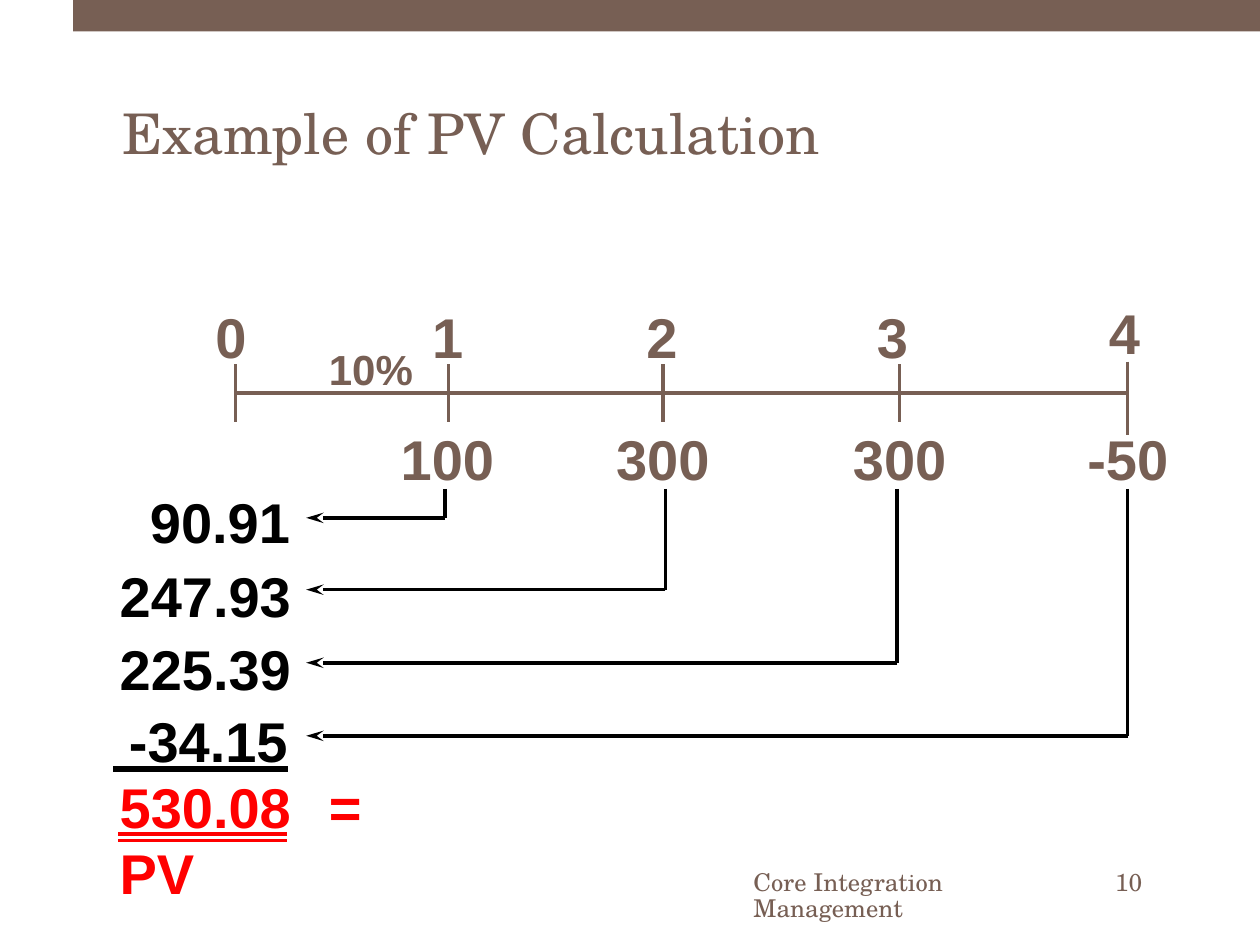
from lxml import etree
from pptx import Presentation
from pptx.dml.color import RGBColor
from pptx.enum.shapes import MSO_CONNECTOR, MSO_SHAPE
from pptx.enum.text import MSO_ANCHOR, MSO_AUTO_SIZE, MSO_UNDERLINE, PP_ALIGN
from pptx.oxml.ns import qn
from pptx.util import Inches, Pt

BROWN = RGBColor(0x77, 0x5F, 0x54)
BLACK = RGBColor(0, 0, 0)
RED = RGBColor(0xFF, 0, 0)
SERIF, SANS = "TeX Gyre Schola", "Arial"
LEFT, TOP = PP_ALIGN.LEFT, MSO_ANCHOR.TOP
FIXED, HEAVY = MSO_AUTO_SIZE.NONE, MSO_UNDERLINE.HEAVY_LINE
RECT, STRAIGHT = MSO_SHAPE.RECTANGLE, MSO_CONNECTOR.STRAIGHT

deck = Presentation()
deck.slide_width, deck.slide_height = Inches(10), Inches(7.5)
slide = deck.slides.add_slide(deck.slide_layouts[5])
shapes = slide.shapes


def write(text, box, size=32, font=SANS, color=BROWN, bold=True,
          inset=(0.01, 0), lead=None, shape=None):
    """Fill a text shape with one paragraph per line and return the paragraphs."""
    spot = [Inches(n) for n in box]
    shape = shape or shapes.add_textbox(*spot)
    shape.left, shape.top, shape.width, shape.height = spot
    frame = shape.text_frame
    frame.text = text
    frame.word_wrap, frame.auto_size = True, FIXED
    frame.vertical_anchor = TOP
    frame.margin_left, frame.margin_top = [Inches(n) for n in inset]
    frame.margin_right = frame.margin_bottom = 0
    for para in frame.paragraphs:
        para.alignment = LEFT
        para.line_spacing = lead
        for run in para.runs:
            run.font.size, run.font.name = Pt(size), font
            run.font.bold, run.font.color.rgb = bold, color
    return frame.paragraphs


def rule(x1, y1, x2, y2, color=BROWN, arrow=False):
    """Draw a straight line, with an arrowhead at its end if asked."""
    line = shapes.add_connector(STRAIGHT, *[Inches(n) for n in (x1, y1, x2, y2)])
    line.line.color.rgb, line.line.width = color, Pt(2)
    if arrow:
        etree.SubElement(line.line._get_or_add_ln(), qn("a:tailEnd"),
                         type="stealth", w="med", len="lg")
    etree.SubElement(line._element.spPr, qn("a:effectLst"))


# Top band and title
band = shapes.add_shape(RECT, Inches(0.58), 0, Inches(9.42), Inches(0.25))
band.shadow.inherit = False
band.fill.solid()
band.fill.fore_color.rgb = BROWN
band.line.fill.background()
write("Example of PV Calculation", (0.74, 0.45, 8.51, 1.61), font=SERIF,
      bold=False, inset=(0.23, 0.33), shape=shapes.title)

# Time line: year, its left, tick x, tick top, tick bottom
rule(1.87, 3.12, 8.95, 3.12)
years = [("0", 1.7, 1.87, 2.89, 3.35), ("1", 3.42, 3.56, 2.89, 3.35),
         ("2", 5.12, 5.26, 2.89, 3.35), ("3", 6.95, 7.14, 2.89, 3.35),
         ("4", 8.79, 8.95, 2.87, 3.45)]
for year, left, x, top, base in years:
    rule(x, top, x, base)
    write(year, (left, 2.37 if year == "4" else 2.4, 0.28, 0.54))
write("10%", (2.6, 2.73, 0.69, 0.41), size=24)

# Cash flows, each led back to its present value
flows = [("100", 3.17, 0.77, 3.53, 4.11), ("300", 4.88, 0.77, 5.28, 4.68),
         ("300", 6.76, 0.77, 7.12, 5.26), ("-50", 8.62, 0.67, 8.95, 5.84)]
for cash, left, width, x, y in flows:
    write(cash, (left, 3.37, width, 0.54))
    rule(x, 3.88, x, y, BLACK)
    rule(x, y, 2.43, y, BLACK, arrow=True)

# Present values and their sum
sums = write("90.91\n247.93\n225.39\n -34.15\n530.08\t= PV",
             (0.89, 3.87, 2.6, 2.81), color=BLACK, inset=(0, 0))
for para, indent in zip(sums, (0.3, 0.06, 0.06, 0.01, 0.06)):
    para._p.get_or_add_pPr().set("marL", str(Inches(indent)))
for para in sums[1:4]:
    para.space_before = Pt(3.6)
for para in sums[3:]:
    para.line_spacing = Pt(37.6)
sums[3].runs[0].font.underline = HEAVY
for run in sums[4].runs:
    run.font.color.rgb = RED
tabs = etree.SubElement(sums[4]._p.get_or_add_pPr(), qn("a:tabLst"))
etree.SubElement(tabs, qn("a:tab"), pos=str(Inches(1.66)), algn="l")
for y in (6.62, 6.67):
    rule(0.94, y, 2.28, y, RED)

# Footer and page number
for text, left, width in (("Core Integration Management", 5.97, 2.64),
                          ("10", 8.84, 0.23)):
    write(text, (left, 6.9, width, 0.22), size=14, font=SERIF, bold=False,
          lead=Pt(15.2))

deck.save("out.pptx")
